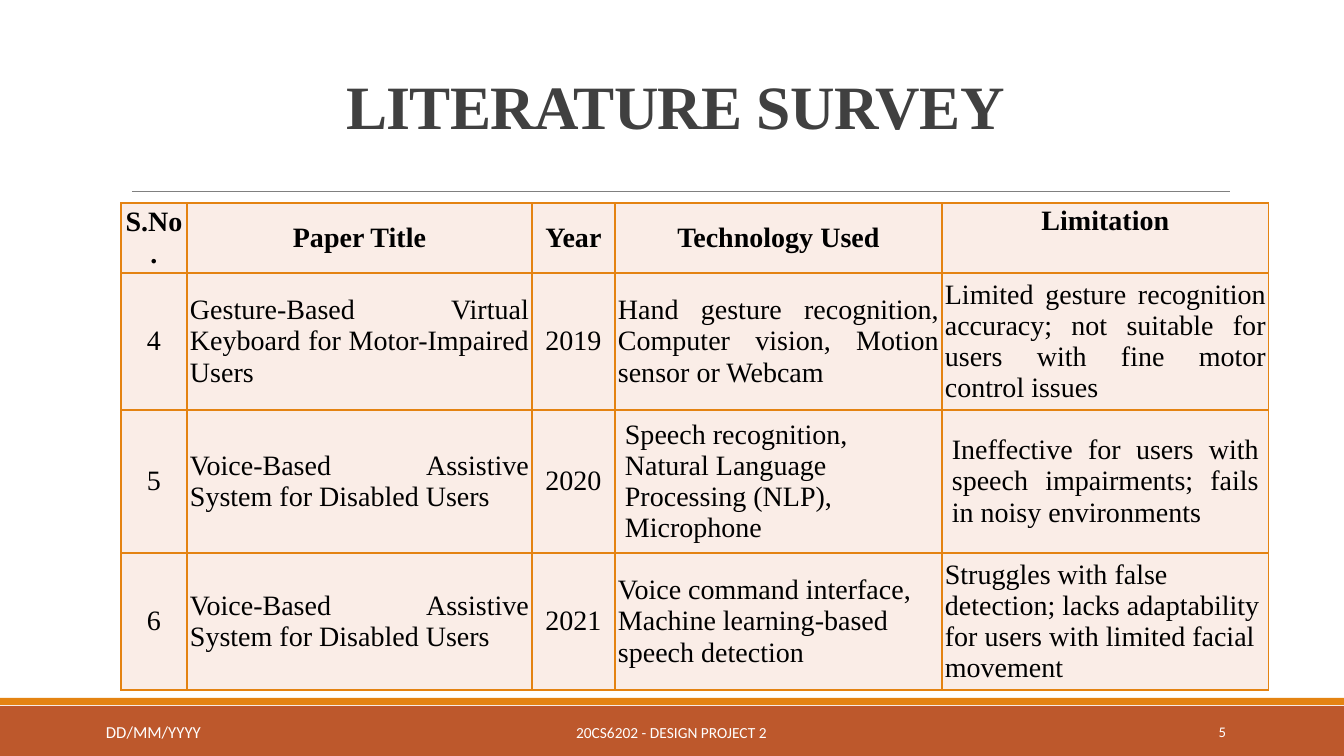
from dataclasses import dataclass

from lxml import etree
from pptx import Presentation
from pptx import util as u
from pptx.dml.color import RGBColor
from pptx.enum import shapes, text
from pptx.oxml import ns

LEFT, CENTER, RIGHT, JUSTIFY = (
    text.PP_ALIGN.LEFT, text.PP_ALIGN.CENTER, text.PP_ALIGN.RIGHT, text.PP_ALIGN.JUSTIFY)
TOP, MIDDLE = text.MSO_ANCHOR.TOP, text.MSO_ANCHOR.MIDDLE


@dataclass(frozen=True)
class Theme:
    serif: str = "Times New Roman"
    sans: str = "Calibri"
    title: str = "404040"
    ink: str = "000000"
    white: str = "FFFFFF"
    footer: str = "BD582C"
    accent: str = "E48312"
    cell: str = "FAEDE7"
    rule: str = "808080"
    title_size: float = 44
    table_size: float = 20
    date_size: float = 12
    footer_size: float = 11
    number_size: float = 10.5


def px(length):
    return u.Emu(round(length * 914400 / 100.8))


def color(value):
    return RGBColor.from_string(value)


class Page:
    """A slide with its theme and one method for each kind of element."""

    def __init__(self, slide, theme):
        self.shapes = slide.shapes
        self.theme = theme

    def bar(self, left, top, width, height, fill):
        bar = self.shapes.add_shape(
            shapes.MSO_SHAPE.RECTANGLE, px(left), px(top), px(width), px(height))
        bar.shadow.inherit = False
        bar.fill.solid()
        bar.fill.fore_color.rgb = color(fill)
        bar.line.fill.background()

    def rule(self, left, top, right):
        line = self.shapes.add_connector(
            shapes.MSO_CONNECTOR.STRAIGHT, px(left), px(top), px(right), px(top))
        line.line.color.rgb = color(self.theme.rule)
        line.line.width = u.Pt(0.5)
        etree.SubElement(line._element.spPr, ns.qn("a:effectLst"))

    def set_text(self, frame, words, size, font, ink, align, bold=False):
        frame.word_wrap = True
        frame.text = words
        for para in frame.paragraphs:
            para.alignment = align
            for span in para.runs:
                span.font.size = u.Pt(size)
                span.font.name = font
                span.font.bold = bold
                span.font.color.rgb = color(ink)

    def label(self, left, top, width, height, words, size, align, anchor=MIDDLE):
        box = self.shapes.add_textbox(px(left), px(top), px(width), px(height))
        frame = box.text_frame
        self.set_text(frame, words, size, self.theme.sans, self.theme.white, align)
        frame.vertical_anchor = anchor

    def title(self, left, top, width, height, words):
        box = self.shapes.add_textbox(px(left), px(top), px(width), px(height))
        frame = box.text_frame
        self.set_text(frame, words, self.theme.title_size, self.theme.serif,
                      self.theme.title, CENTER, bold=True)
        frame.vertical_anchor = MIDDLE
        para = frame.paragraphs[0]
        para.line_spacing = 0.85
        para.runs[0]._r.get_or_add_rPr().set("spc", "-50")

    def border(self, cell):
        props = cell._tc.get_or_add_tcPr()
        for side in ("lnL", "lnR", "lnT", "lnB"):
            line = etree.SubElement(props, ns.qn(f"a:{side}"), w=str(u.Pt(1)))
            fill = etree.SubElement(line, ns.qn("a:solidFill"))
            etree.SubElement(fill, ns.qn("a:srgbClr"), val=self.theme.accent)

    def cell(self, cell, words, align, bold, roomy, anchor):
        across, down = (10, 5) if roomy else (3, 2)
        cell.margin_left = cell.margin_right = px(across)
        cell.margin_top = cell.margin_bottom = px(down)
        cell.vertical_anchor = anchor
        self.border(cell)
        cell.fill.solid()
        cell.fill.fore_color.rgb = color(self.theme.cell)
        self.set_text(cell.text_frame, words, self.theme.table_size, self.theme.serif,
                      self.theme.ink, align, bold)

    def table(self, left, top, widths, heights, rows, aligns, roomy, raised):
        table = self.shapes.add_table(
            len(heights), len(widths), px(left), px(top),
            px(sum(widths)), px(sum(heights))).table
        table.first_row = table.horz_banding = False
        for column, width in zip(table.columns, widths):
            column.width = px(width)
        for row, height in zip(table.rows, heights):
            row.height = px(height)
        for r, row in enumerate(rows):
            for c, words in enumerate(row):
                self.cell(table.cell(r, c), words, aligns[r][c], r == 0,
                          (r, c) in roomy, TOP if (r, c) in raised else MIDDLE)


SURVEY = [
    ["S.No.", "Paper Title", "Year", "Technology Used", "Limitation"],
    ["4", "Gesture-Based Virtual Keyboard for Motor-Impaired Users", "2019",
     "Hand gesture recognition, Computer vision, Motion sensor or Webcam",
     "Limited gesture recognition accuracy; not suitable for users with fine motor "
     "control issues"],
    ["5", "Voice-Based Assistive System for Disabled Users", "2020",
     "Speech recognition,\nNatural Language\nProcessing (NLP),\nMicrophone",
     "Ineffective for users with speech impairments; fails in noisy environments"],
    ["6", "Voice-Based Assistive System for Disabled Users", "2021",
     "Voice command interface, Machine learning-based speech detection",
     "Struggles with false detection; lacks adaptability for users with limited "
     "facial movement"],
]
JUSTIFIED_ROW = [CENTER, JUSTIFY, CENTER, JUSTIFY, JUSTIFY]
ALIGNS = [[CENTER] * 5, JUSTIFIED_ROW, JUSTIFIED_ROW,
          [CENTER, JUSTIFY, CENTER, LEFT, LEFT]]


def main():
    deck = Presentation()
    deck.slide_width, deck.slide_height = px(1344), px(756)
    theme = Theme()
    page = Page(deck.slides.add_slide(deck.slide_layouts[6]), theme)

    # Footer bands and title rule
    page.bar(0, 706, 1344, 50, theme.footer)
    page.bar(0, 698, 1344, 7, theme.accent)
    page.rule(132, 191, 1230)

    # Survey table
    page.table(121, 203, [66, 345, 83, 327, 327], [70, 137, 143, 137], SURVEY, ALIGNS,
               roomy={(2, 3), (2, 4)}, raised={(0, 4)})

    # Title
    page.title(121, 31, 1109, 160, "LITERATURE SURVEY")

    # Footer text
    page.label(406, 712, 531, 40, "20CS6202 - DESIGN PROJECT 2", theme.footer_size, CENTER)
    page.label(1092, 712, 144, 40, "5", theme.number_size, RIGHT)
    page.label(96, 717, 261, 30, "DD/MM/YYYY", theme.date_size, LEFT, TOP)

    deck.save("out.pptx")


if __name__ == "__main__":
    main()
